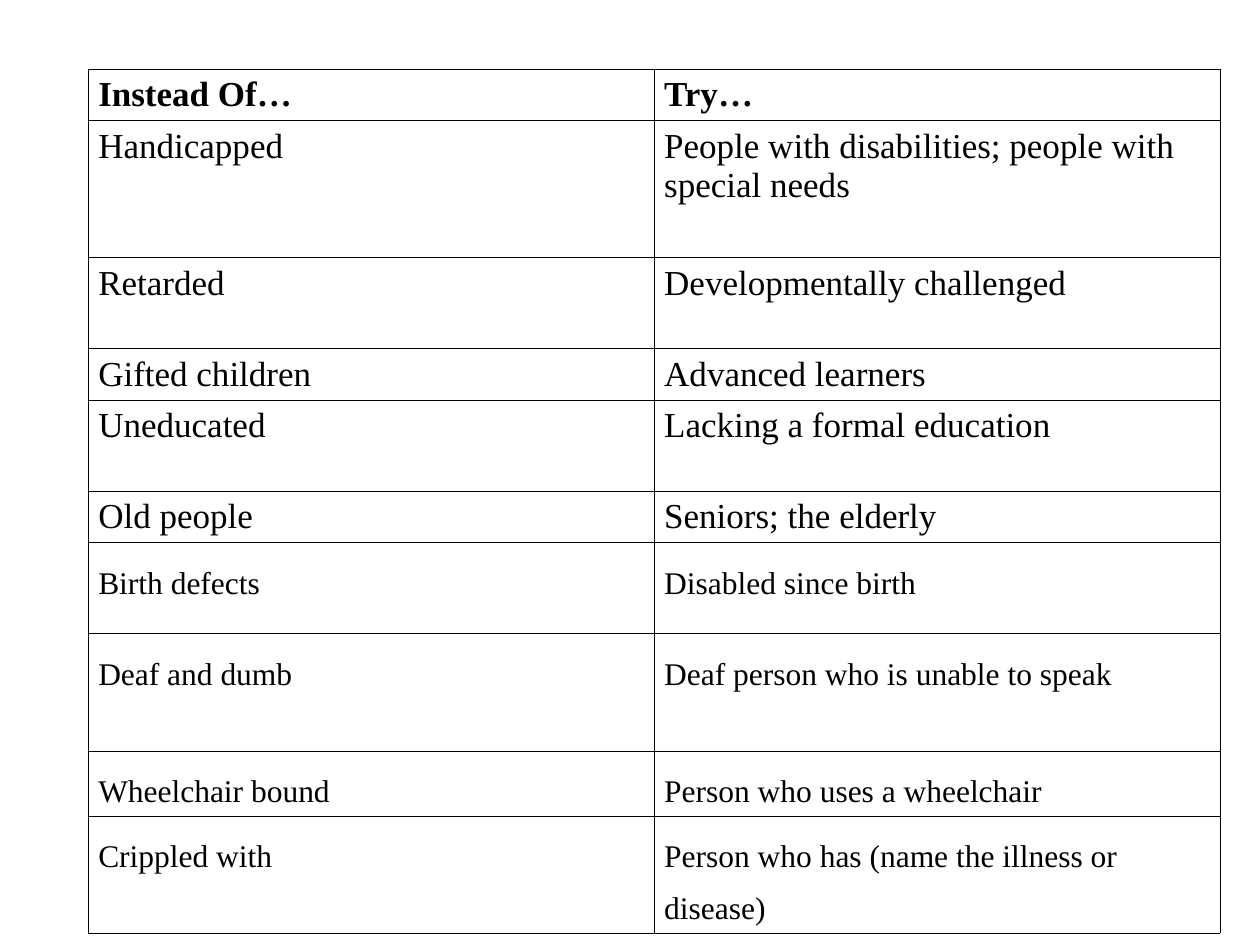
from lxml.etree import SubElement
from pptx import Presentation
from pptx.dml.color import RGBColor
from pptx.oxml.ns import qn
from pptx.util import Pt

BLACK = "000000"
HEAD = {"name": "Times New Roman", "size": Pt(20), "bold": True}
LARGE = HEAD | {"bold": False}
SMALL = LARGE | {"size": Pt(18)}
INSETS = {"margin_left": Pt(5.76), "margin_right": Pt(5.76),
          "margin_top": Pt(3.6), "margin_bottom": Pt(3.6)}

# Row height, text format, line spacing, the two phrases
ROWS = [
    (26, HEAD, 1, "Instead Of…", "Try…"),
    (78.3, LARGE, 1, "Handicapped",
     "People with disabilities; people with special needs"),
    (52, LARGE, 1, "Retarded", "Developmentally challenged"),
    (26, LARGE, 1, "Gifted children", "Advanced learners"),
    (52, LARGE, 1, "Uneducated", "Lacking a formal education"),
    (26, LARGE, 1, "Old people", "Seniors; the elderly"),
    (52, SMALL, 1.5, "Birth defects", "Disabled since birth"),
    (67, SMALL, 1.5, "Deaf and dumb", "Deaf person who is unable to speak"),
    (34, SMALL, 1.5, "Wheelchair bound", "Person who uses a wheelchair"),
    (67, SMALL, 1.5, "Crippled with",
     "Person who has (name the illness or disease)"),
]


def color(code):
    return RGBColor.from_string(code)


def apply(target, values):
    for name, value in values.items():
        setattr(target, name, value)


def border(cell, width, code):
    props = cell._tc.get_or_add_tcPr()
    for side in ("lnL", "lnR", "lnT", "lnB"):
        line = SubElement(props, qn(f"a:{side}"), w=str(Pt(width)))
        fill = SubElement(line, qn("a:solidFill"))
        SubElement(fill, qn("a:srgbClr"), val=code)


def write(cell, text, style, space):
    apply(cell, INSETS)
    border(cell, 0.45, BLACK)
    cell.fill.background()
    cell.text = text
    para = cell.text_frame.paragraphs[0]
    if space != 1:
        para.line_spacing = space
    font = para.runs[0].font
    apply(font, style)
    font.color.rgb = color(BLACK)


def add_grid(slide, left, top, width):
    total = sum(row[0] for row in ROWS)
    table = slide.shapes.add_table(len(ROWS), 2, Pt(left), Pt(top),
                                   Pt(width), Pt(total)).table
    apply(table, {"first_row": False, "horz_banding": False})
    for row, (height, style, space, *words) in zip(table.rows, ROWS):
        row.height = Pt(height)
        for cell, text in zip(row.cells, words):
            write(cell, text, style, space)


def main():
    deck = Presentation()
    apply(deck, {"slide_width": Pt(720), "slide_height": Pt(540)})
    slide = deck.slides.add_slide(deck.slide_layouts[6])
    # Table of phrases to avoid and what to say in their place
    add_grid(slide, 50.4, 39.6, 646.8)
    deck.save("out.pptx")


if __name__ == "__main__":
    main()
